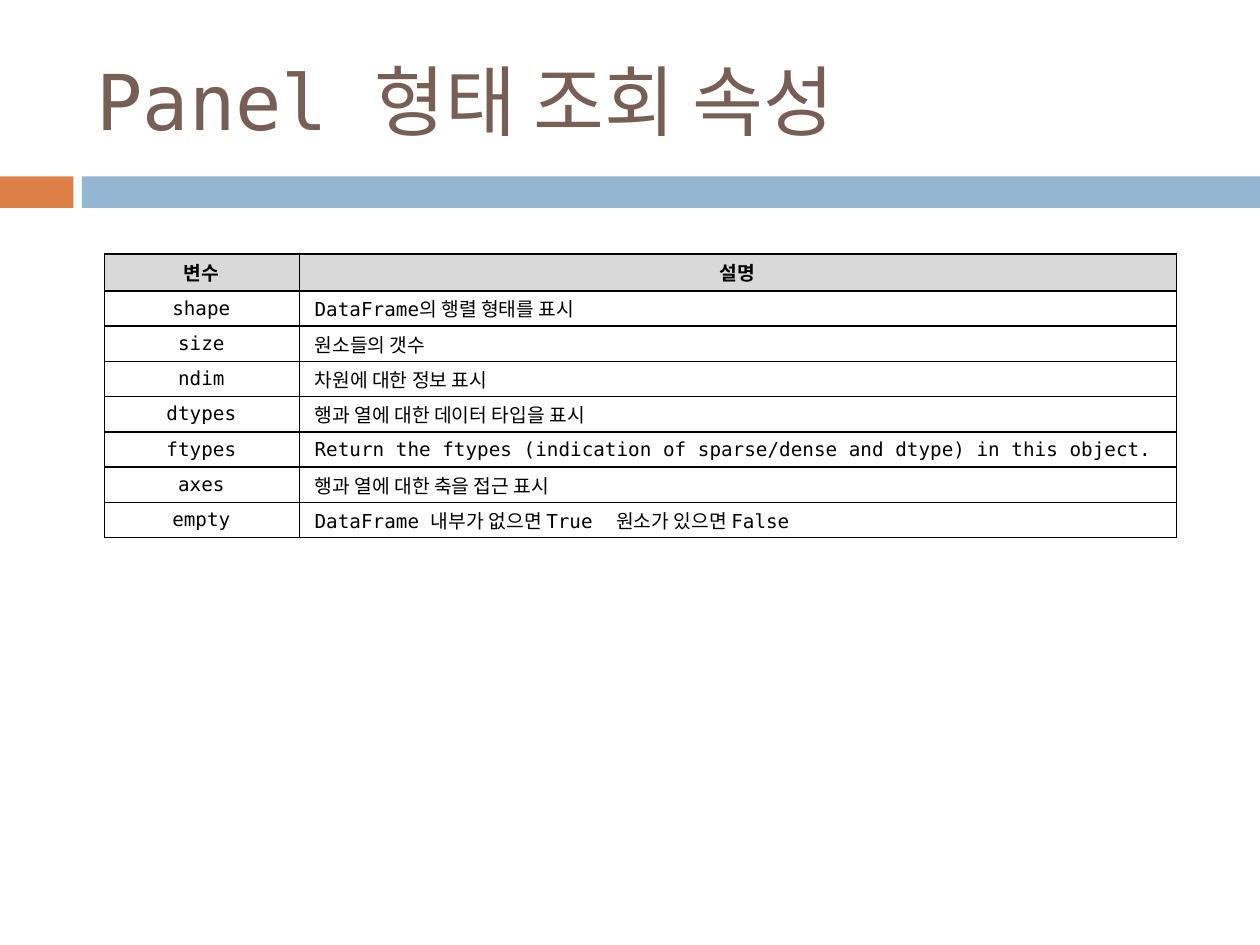
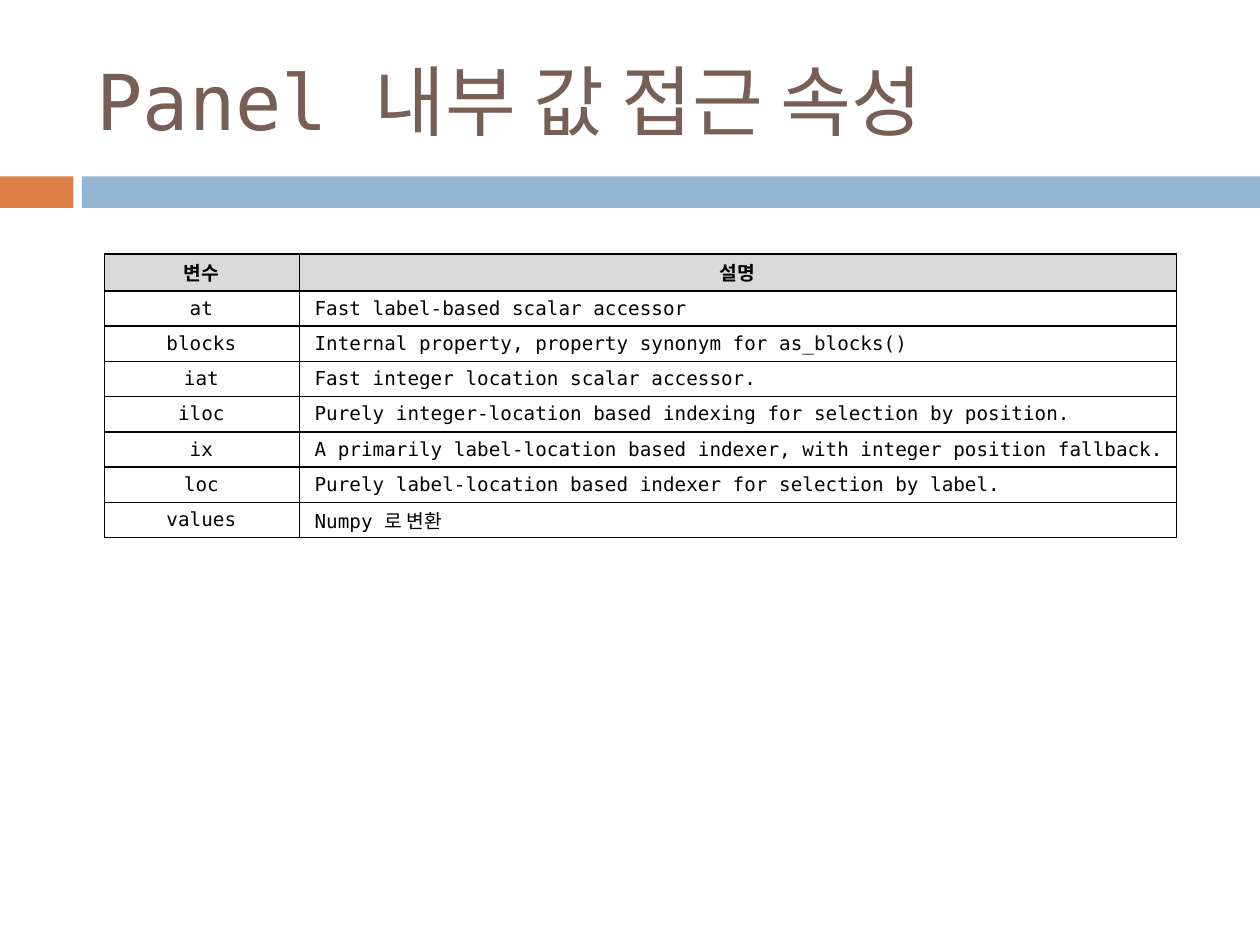
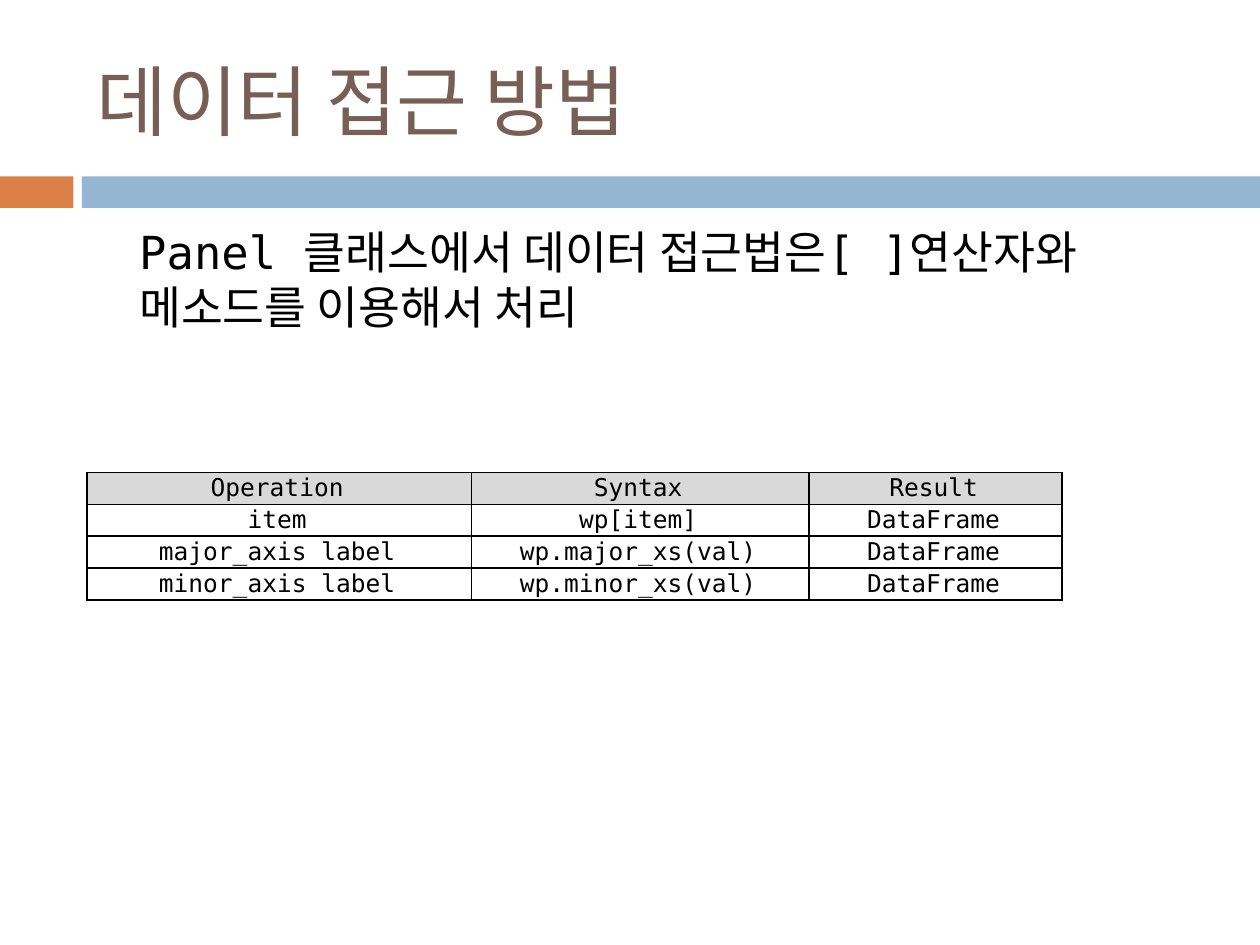
from lxml import etree
from pptx import Presentation
from pptx.dml.color import RGBColor
from pptx.enum.shapes import MSO_SHAPE
from pptx.enum.text import MSO_ANCHOR, PP_ALIGN
from pptx.oxml.ns import qn
from pptx.util import Pt

# Shared style
FONT = "DejaVu Sans Mono"
ORANGE = RGBColor(0xDD, 0x80, 0x47)
BLUE = RGBColor(0x94, 0xB6, 0xD2)
BROWN = RGBColor(0x77, 0x5F, 0x55)
BLACK = RGBColor(0, 0, 0)
WHITE = RGBColor(0xFF, 0xFF, 0xFF)
HEADER_GREY = RGBColor(0xD9, 0xD9, 0xD9)
BAND_TOP, BAND_HEIGHT = 100.8, 18
BANDS = [(0, 42, ORANGE), (46.8, 673.2, BLUE)]

# Slide contents
ATTRIBUTE_HEADER = ("변수", "설명")
SHAPE_ATTRIBUTES = [
    ATTRIBUTE_HEADER,
    ("shape", "DataFrame의 행렬 형태를 표시"),
    ("size", "원소들의 갯수"),
    ("ndim", "차원에 대한 정보 표시"),
    ("dtypes", "행과 열에 대한 데이터 타입을 표시"),
    ("ftypes", "Return the ftypes (indication of sparse/dense and dtype) in this object."),
    ("axes", "행과 열에 대한 축을 접근 표시"),
    ("empty", "DataFrame 내부가 없으면 True  원소가 있으면 False"),
]
ACCESS_ATTRIBUTES = [
    ATTRIBUTE_HEADER,
    ("at", "Fast label-based scalar accessor"),
    ("blocks", "Internal property, property synonym for as_blocks()"),
    ("iat", "Fast integer location scalar accessor."),
    ("iloc", "Purely integer-location based indexing for selection by position."),
    ("ix", "A primarily label-location based indexer, with integer position fallback."),
    ("loc", "Purely label-location based indexer for selection by label."),
    ("values", "Numpy 로 변환"),
]
OPERATIONS = [
    ("Operation", "Syntax", "Result"),
    ("item", "wp[item]", "DataFrame"),
    ("major_axis label", "wp.major_xs(val)", "DataFrame"),
    ("minor_axis label", "wp.minor_xs(val)", "DataFrame"),
]
ACCESS_NOTE = "Panel 클래스에서 데이터 접근법은[ ]연산자와 메소드를 이용해서 처리"

# Table layouts; margins run left, top, right, bottom
ATTRIBUTE_TABLE = dict(left=59.6, top=145.2, columns=(111.6, 501.1), header=21,
                       row=20.16, size=11, bold_header=True,
                       margins=(2.2, 0.7, 2.9, 0.7), text_indent=8.6)
OPERATION_TABLE = dict(left=49.7, top=270, columns=(219.6, 193, 144.7), header=17.7,
                       row=17.7, size=14, bold_header=False,
                       margins=(2.9, 0.7, 5, 0.7), text_indent=None)

SLIDES = [
    ("Panel 형태 조회 속성", None, SHAPE_ATTRIBUTES, ATTRIBUTE_TABLE),
    ("Panel 내부 값 접근 속성", None, ACCESS_ATTRIBUTES, ATTRIBUTE_TABLE),
    ("데이터 접근 방법", ACCESS_NOTE, OPERATIONS, OPERATION_TABLE),
]


def write(frame, text, size, color, bold=False):
    """Fill a text frame with one styled paragraph and return it."""
    paragraph = frame.paragraphs[0]
    run = paragraph.add_run()
    run.text = text
    run.font.name = FONT
    run.font.size = Pt(size)
    run.font.bold = bold
    run.font.color.rgb = color
    return paragraph


def add_borders(cell):
    """Draw a 1 pt black line on all four sides, ahead of the cell fill."""
    properties = cell._tc.get_or_add_tcPr()
    for position, side in enumerate(("lnL", "lnR", "lnT", "lnB")):
        line = etree.Element(qn(f"a:{side}"), w=str(Pt(1)))
        fill = etree.SubElement(line, qn("a:solidFill"))
        etree.SubElement(fill, qn("a:srgbClr"), val=str(BLACK))
        properties.insert(position, line)


prs = Presentation()
prs.slide_width, prs.slide_height = Pt(720), Pt(540)

for title, note, rows, layout in SLIDES:
    slide = prs.slides.add_slide(prs.slide_layouts[6])

    # Bands under the title
    for left, width, color in BANDS:
        band = slide.shapes.add_shape(MSO_SHAPE.RECTANGLE, Pt(left), Pt(BAND_TOP),
                                      Pt(width), Pt(BAND_HEIGHT))
        band.shadow.inherit = False
        band.fill.solid()
        band.fill.fore_color.rgb = color
        band.line.fill.background()

    # Title
    frame = slide.shapes.add_textbox(Pt(48), Pt(18), Pt(642), Pt(78)).text_frame
    frame.word_wrap = True
    frame.vertical_anchor = MSO_ANCHOR.MIDDLE
    write(frame, title, 44, BROWN)

    # Body text
    if note:
        frame = slide.shapes.add_textbox(Pt(36.5), Pt(124.6), Pt(648), Pt(89.3)).text_frame
        frame.word_wrap = True
        paragraph = write(frame, note, 26, BLACK)
        paragraph.space_before = Pt(5.5)
        paragraph._p.get_or_add_pPr().set("marL", str(Pt(36)))

    # Table
    heights = [layout["header"]] + [layout["row"]] * (len(rows) - 1)
    table = slide.shapes.add_table(
        len(rows), len(layout["columns"]), Pt(layout["left"]), Pt(layout["top"]),
        Pt(sum(layout["columns"])), Pt(sum(heights))).table
    for column, width in zip(table.columns, layout["columns"]):
        column.width = Pt(width)
    for r, (texts, height) in enumerate(zip(rows, heights)):
        table.rows[r].height = Pt(height)
        is_header = r == 0
        for c, text in enumerate(texts):
            cell = table.cell(r, c)
            cell.vertical_anchor = MSO_ANCHOR.MIDDLE
            (cell.margin_left, cell.margin_top,
             cell.margin_right, cell.margin_bottom) = map(Pt, layout["margins"])
            cell.fill.solid()
            cell.fill.fore_color.rgb = HEADER_GREY if is_header else WHITE
            add_borders(cell)
            paragraph = write(cell.text_frame, text, layout["size"], BLACK,
                              is_header and layout["bold_header"])
            if layout["text_indent"] and c == 1 and not is_header:
                cell.margin_left = Pt(layout["text_indent"])
                paragraph.alignment = PP_ALIGN.LEFT
            else:
                paragraph.alignment = PP_ALIGN.CENTER

prs.save("out.pptx")
